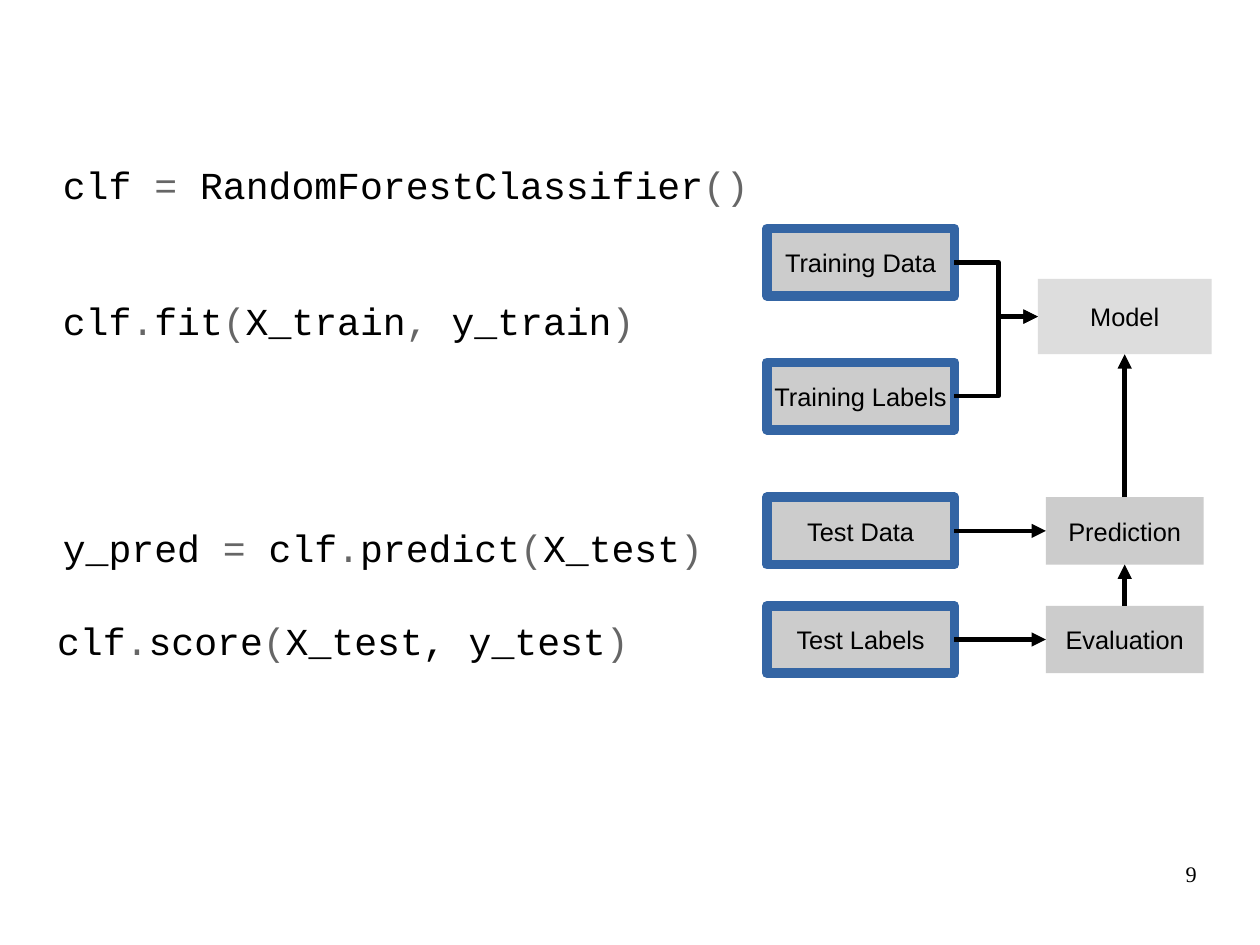
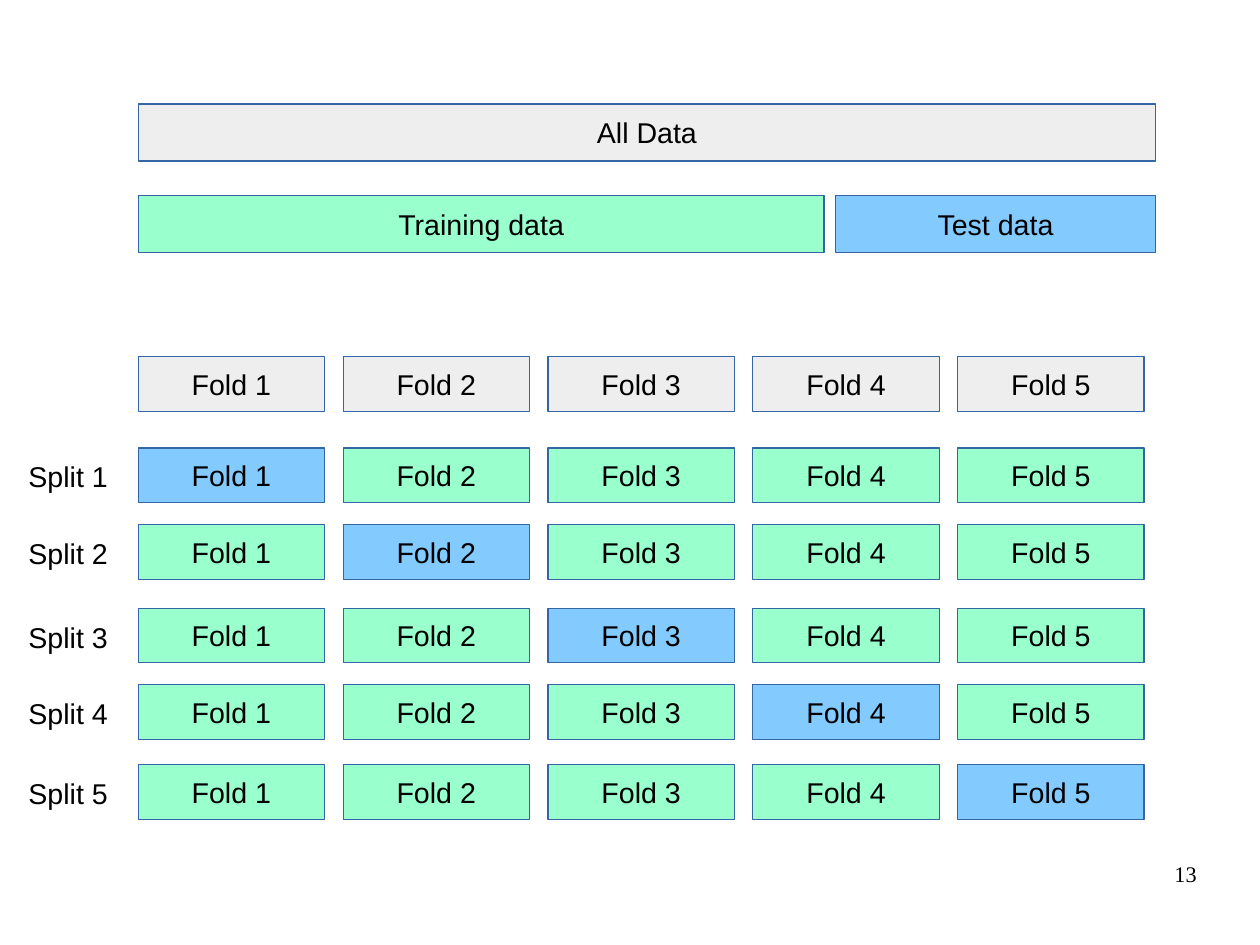
"""Build two slides: a classifier workflow with code, and a cross-validation grid."""
from lxml.etree import SubElement
from pptx import Presentation
from pptx.dml.color import RGBColor
from pptx.enum.shapes import MSO_CONNECTOR, MSO_SHAPE
from pptx.enum.text import MSO_ANCHOR, PP_ALIGN
from pptx.oxml.ns import qn
from pptx.util import Inches, Pt

BLACK, CODE_GREY = "000000", "666666"
BLUE_LINE = "3465A4"
GREY, MODEL_GREY, PALE_GREY = "CCCCCC", "DDDDDD", "EEEEEE"
TRAIN_GREEN, TEST_BLUE = "99FFCC", "83CAFF"
LEFT_TEXT = {"alignment": PP_ALIGN.LEFT}
BOX_FRAME = {"word_wrap": False, "vertical_anchor": MSO_ANCHOR.MIDDLE}
PLAIN_FRAME = {"word_wrap": True, "margin_left": 0, "margin_right": 0,
               "margin_top": 0, "margin_bottom": 0}


def write(shape, lines, size, font, frame_format, paragraph_format):
    """Fill a shape with lines of text whose pieces alternate black and grey."""
    frame = shape.text_frame
    for name, value in frame_format.items():
        setattr(frame, name, value)
    for number, (space, pieces) in enumerate(lines):
        paragraph = frame.add_paragraph() if number else frame.paragraphs[0]
        for name, value in {"space_before": Pt(space), **paragraph_format}.items():
            setattr(paragraph, name, value)
        for position, piece in enumerate(pieces):
            run = paragraph.add_run()
            run.text = piece
            for name, value in {"size": Pt(size), "name": font}.items():
                setattr(run.font, name, value)
            colour = CODE_GREY if position % 2 else BLACK
            run.font.color.rgb = RGBColor.from_string(colour)


def add_box(slide, place, text, size, fill, line_width=None):
    """Add a filled rectangle with a centred label and an optional blue outline."""
    shape = slide.shapes.add_shape(MSO_SHAPE.RECTANGLE, *map(Inches, place))
    shape.shadow.inherit = False
    shape.fill.solid()
    shape.fill.fore_color.rgb = RGBColor.from_string(fill)
    if line_width is None:
        shape.line.fill.background()
    else:
        shape.line.color.rgb = RGBColor.from_string(BLUE_LINE)
        shape.line.width = Pt(line_width)
    write(shape, [(0, [text])], size, "Arial", BOX_FRAME, {"alignment": PP_ALIGN.CENTER})
    return shape


presentation = Presentation()
presentation.slide_width, presentation.slide_height = Inches(28 / 2.54), Inches(21 / 2.54)
slides = []
for slide_number in ("9", "13"):
    slide = presentation.slides.add_slide(presentation.slide_layouts[6])
    footer = slide.shapes.add_textbox(*map(Inches, (7.9, 7.53, 2.57, 0.57)))
    write(footer, [(0, [slide_number])], 14, "Times New Roman", PLAIN_FRAME,
          {"alignment": PP_ALIGN.RIGHT})
    slides.append(slide)
workflow_slide, folds_slide = slides

code_blocks = [
    ((0.55, 1.41, 8.85, 3.69), [
        (0, ["clf ", "=", " RandomForestClassifier", "()"]),
        (57, ["clf", ".", "fit", "(", "X_train", ",", " y_train", ")"]),
        (114.5, ["y_pred ", "=", " clf", ".", "predict", "(", "X_test", ")"]),
    ]),
    ((0.5, 5.4, 9.4, 1), [(0, ["clf", ".", "score", "(", "X_test, y_test", ")"])]),
]
for place, lines in code_blocks:
    code = workflow_slide.shapes.add_textbox(*map(Inches, place))
    write(code, lines, 24, "Courier New", PLAIN_FRAME, LEFT_TEXT)

boxes = {}
for name, top in (("Training Data", 2), ("Training Labels", 3.17),
                  ("Test Data", 4.35), ("Test Labels", 5.3)):
    boxes[name] = add_box(workflow_slide, (6.71, top, 1.64, 0.59), name, 16, GREY, 6)
for name, place, fill in (("Model", (9.08, 2.44, 1.52, 0.66), MODEL_GREY),
                          ("Prediction", (9.15, 4.35, 1.38, 0.59), GREY),
                          ("Evaluation", (9.15, 5.3, 1.38, 0.59), GREY)):
    boxes[name] = add_box(workflow_slide, place, name, 16, fill)

TOP, LEFT, BOTTOM, RIGHT = range(4)
arrows = [
    ("Training Data", RIGHT, "Model", LEFT, MSO_CONNECTOR.ELBOW),
    ("Training Labels", RIGHT, "Model", LEFT, MSO_CONNECTOR.ELBOW),
    ("Test Data", RIGHT, "Prediction", LEFT, MSO_CONNECTOR.STRAIGHT),
    ("Test Labels", RIGHT, "Evaluation", LEFT, MSO_CONNECTOR.STRAIGHT),
    ("Prediction", TOP, "Model", BOTTOM, MSO_CONNECTOR.STRAIGHT),
    ("Evaluation", TOP, "Prediction", BOTTOM, MSO_CONNECTOR.STRAIGHT),
]
for start, start_side, end, end_side, kind in arrows:
    arrow = workflow_slide.shapes.add_connector(kind, 0, 0, 0, 0)
    arrow.begin_connect(boxes[start], start_side)
    arrow.end_connect(boxes[end], end_side)
    arrow.line.color.rgb = RGBColor.from_string(BLACK)
    arrow.line.width = Pt(3)
    SubElement(arrow.line._get_or_add_ln(), qn("a:tailEnd"), type="triangle")
    SubElement(arrow._element.spPr, qn("a:effectLst"))
    if kind == MSO_CONNECTOR.ELBOW:
        adjustments = arrow._element.spPr.find(".//" + qn("a:avLst"))
        SubElement(adjustments, qn("a:gd"), name="adj1", fmla="val 53000")

add_box(folds_slide, (1.21, 0.91, 8.9, 0.5), "All Data", 18, PALE_GREY, 0)
add_box(folds_slide, (1.21, 1.71, 6, 0.5), "Training data", 18, TRAIN_GREEN, 0)
add_box(folds_slide, (7.31, 1.71, 2.8, 0.5), "Test data", 18, TEST_BLUE, 0)

fold_count, fold_width, grid_width = 5, 1.63, 8.8
fold_pitch = (grid_width - fold_width) / (fold_count - 1)
for split, top in enumerate((3.12, 3.92, 4.59, 5.32, 5.99, 6.69)):
    if split:
        label = folds_slide.shapes.add_textbox(*map(Inches, (0.15, top + 0.05, 0.95, 0.38)))
        write(label, [(0, [f"Split {split}"])], 18, "Arial", {"word_wrap": True}, LEFT_TEXT)
    for fold in range(1, fold_count + 1):
        fill = PALE_GREY if not split else TEST_BLUE if fold == split else TRAIN_GREEN
        place = (1.21 + (fold - 1) * fold_pitch, top, fold_width, 0.48)
        add_box(folds_slide, place, f"Fold {fold}", 18, fill, 0)

presentation.save("out.pptx")
